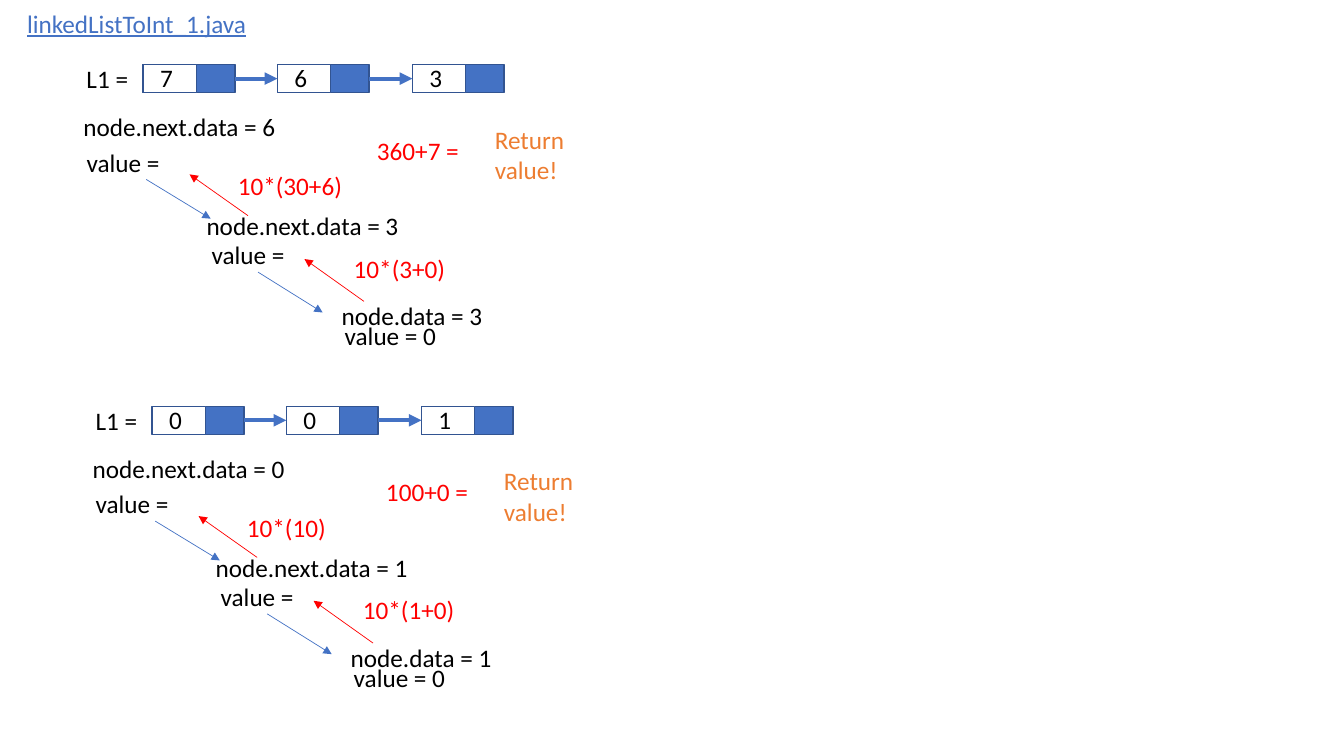
from pptx import Presentation
from pptx.dml.color import RGBColor
from pptx.enum.shapes import MSO_CONNECTOR as Conn, MSO_SHAPE as Shape
from pptx.enum.text import MSO_AUTO_SIZE as Fit
from pptx.oxml.ns import qn
from pptx.util import Pt
from lxml.etree import SubElement

BLACK = RGBColor(0, 0, 0)
WHITE = RGBColor(255, 255, 255)
BLUE = RGBColor(0x44, 0x72, 0xC4)
EDGE = RGBColor(0x32, 0x54, 0x91)
RED = RGBColor(255, 0, 0)
ORANGE = RGBColor(0xED, 0x7D, 0x31)

PX = 9144  # 100 px to the inch
ROW = 40   # height of one line of text

TITLE = "linkedListToInt_1.java"

# Shift of the trace (x, y), list values, then the texts in SPOTS order
TRACES = [
    ((0, 0), "763",
     ["L1 =", "node.next.data = 6", "value =", "node.next.data = 3",
      "value =", "node.data = 3", "value = 0",
      "10*(3+0)", "10*(30+6)", "360+7 =", "Return value!"]),
    ((9, 339), "001",
     ["L1 =", "node.next.data = 0", "value =", "node.next.data = 1",
      "value =", "node.data = 1", "value = 0",
      "10*(1+0)", "10*(10)", "100+0 =", "Return value!"]),
]

# Left, top, width, height, colour
SPOTS = [
    (76, 58, 64, ROW, BLACK),
    (73, 106, 213, ROW, BLACK),
    (76, 141, 99, ROW, BLACK),
    (195, 204, 261, ROW, BLACK),
    (200, 233, 99, ROW, BLACK),
    (329, 293, 161, ROW, BLACK),
    (332, 313, 112, ROW, BLACK),
    (341, 246, 112, ROW, RED),
    (226, 164, 125, ROW, RED),
    (364, 129, 102, ROW, RED),
    (481, 118, 117, 71, ORANGE),
]

# Start x, y, end x, y, colour: calls go down, results come back up
STEPS = [
    (145, 178, 209, 217, BLUE),
    (256, 270, 320, 310, BLUE),
    (361, 299, 302, 257, RED),
    (246, 214, 188, 173, RED),
]

NODES = (142, 275, 409)  # left edges
TOP, WIDE, DATA, TALL = 64, 91, 53, 28

prs = Presentation()
prs.slide_width, prs.slide_height = 1333 * PX, 750 * PX
slide = prs.slides.add_slide(prs.slide_layouts[6])
shapes = slide.shapes


def scale(*nums):
    return [n * PX for n in nums]


def write(text, x, y, w, h, color):
    box = shapes.add_textbox(*scale(x, y, w, h))
    frame = box.text_frame
    frame.text = text
    frame.word_wrap = True
    frame.auto_size = Fit.SHAPE_TO_FIT_TEXT
    font = frame.paragraphs[0].runs[0].font
    font.name, font.size = "Calibri", Pt(18)
    font.color.rgb = color
    return font


def block(x, y, w, fill):
    rect = shapes.add_shape(Shape.RECTANGLE, *scale(x, y, w, TALL))
    rect.shadow.inherit = False
    rect.fill.solid()
    rect.fill.fore_color.rgb = fill
    rect.line.color.rgb = EDGE
    rect.line.width = Pt(1)
    return rect


def arrow(x1, y1, x2, y2, color, width):
    line = shapes.add_connector(Conn.STRAIGHT, *scale(x1, y1, x2, y2))
    line.line.color.rgb = color
    line.line.width = Pt(width)
    SubElement(line.line._get_or_add_ln(), qn("a:tailEnd"), type="triangle")
    SubElement(line._element.spPr, qn("a:effectLst"))
    return line


def chain(digits, dx, dy):
    """Draw the linked list: nodes, values and the arrows between them."""
    last = None
    for left, digit in zip(NODES, digits):
        x, y = left + dx, TOP + dy
        node = block(x, y, WIDE, BLUE)
        block(x, y, DATA, WHITE)
        write(digit, x + 7, y - 7, 39, ROW, BLACK)
        if last:
            link = arrow(x, y, x, y, BLUE, 3)
            link.begin_connect(last, 3)
            link.end_connect(node, 1)
        last = node


def trace(digits, texts, dx, dy):
    """Draw one run of the recursion, shifted by dx, dy."""
    chain(digits, dx, dy)
    for text, (x, y, w, h, color) in zip(texts, SPOTS):
        write(text, x + dx, y + dy, w, h, color)
    for x1, y1, x2, y2, color in STEPS:
        arrow(x1 + dx, y1 + dy, x2 + dx, y2 + dy, color, 0.5)


write(TITLE, 17, 3, 306, ROW, BLUE).underline = True
for shift, digits, texts in TRACES:
    trace(digits, texts, *shift)

prs.save("out.pptx")
